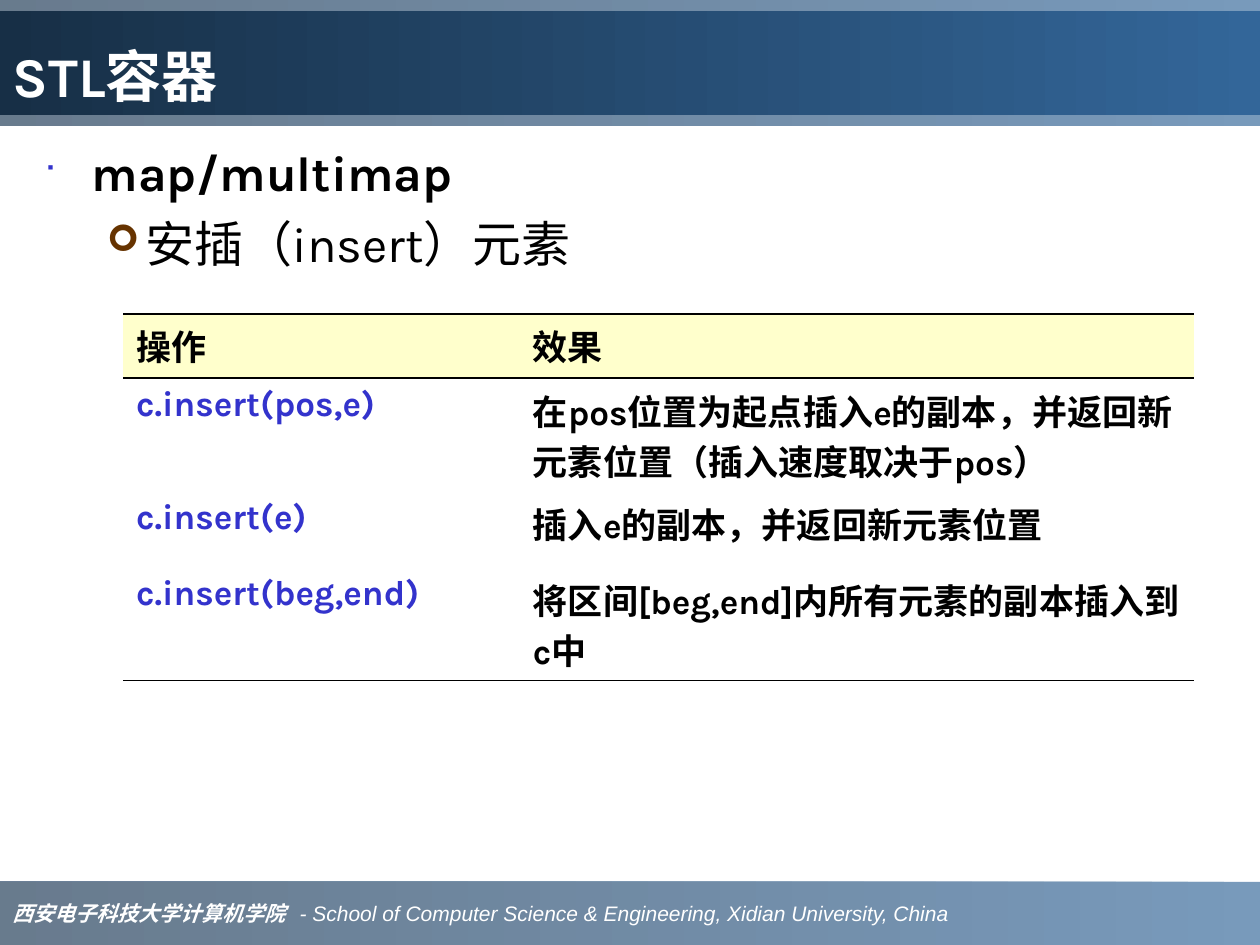
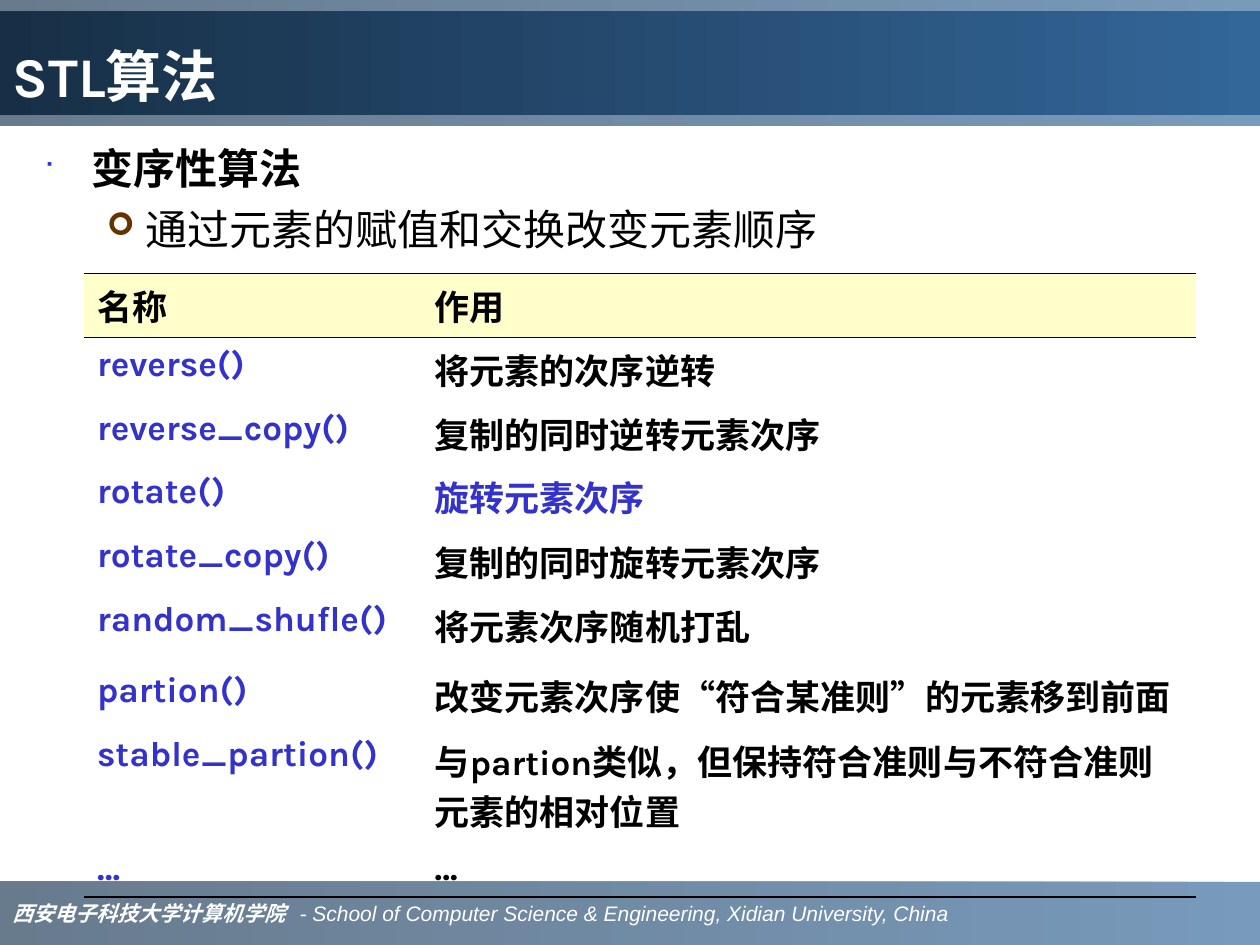
"""Build two slides on STL containers and algorithms."""
from dataclasses import dataclass
from typing import Any, NamedTuple

import lxml.etree
import pptx
import pptx.dml.color
import pptx.dml.fill
import pptx.enum.shapes
import pptx.enum.text
import pptx.oxml.ns
import pptx.presentation
import pptx.shapes.autoshape
import pptx.slide
import pptx.table
import pptx.text.text
from pptx.util import Inches


@dataclass(frozen=True)
class Theme:
    face: str = "Karla"
    signs: str = "Wingdings"
    white: str = "FFFFFF"
    black: str = "000000"
    blue: str = "3333CC"
    brown: str = "663300"
    cream: str = "FFFFCC"
    light: str = "336699"
    dark: str = "172F46"
    shade: str = "1B3753"
    title: int = 32
    cell: int = 20
    foot: int = 12
    thick: float = 1.08
    thin: float = 0.75
    plain: str = "{2D5ABB26-0587-4C30-8999-92F81FD0307C}"


class Band(NamedTuple):
    top: float
    high: float


class Mark(NamedTuple):
    sign: str
    color: str
    scale: int
    left: float
    hang: float
    bold: bool


class Grid(NamedTuple):
    left: float
    top: float
    cols: tuple[float, ...]
    highs: tuple[float, ...]
    rows: tuple[tuple[str, str], ...]
    blue: tuple[int, ...] = ()


class Page(NamedTuple):
    title: str
    points: tuple[str, str]
    size: int
    gap: int
    grid: Grid


LOOK = Theme()
WIDE = 10
HEAD = Band(0, 1)
FOOT = Band(7, 0.5)
NAME = Band(0.09, 0.82)
MARKS = (
    Mark("■", LOOK.blue, 60, 0.38, 0.38, True),
    Mark("➢", LOOK.brown, 75, 0.81, 0.31, False),
)
CREDIT = (
    ("西安电子科技大学计算机学院\t", "Times New Roman", True),
    ("- School of Computer Science & Engineering, Xidian University, China", "Arial", False),
)
PAGES = (
    Page("STL容器", ("map/multimap", "安插（insert）元素"), 28, 7, Grid(
        0.98, 2.49, (3.15, 5.35), (0.51, 0.9, 0.6, 0.9), (
            ("操作", "效果"),
            ("c.insert(pos,e)", "在pos位置为起点插入e的副本，并返回新元素位置（插入速度取决于pos）"),
            ("c.insert(e)", "插入e的副本，并返回新元素位置"),
            ("c.insert(beg,end)", "将区间[beg,end]内所有元素的副本插入到c中"),
        ))),
    Page("STL算法", ("变序性算法", "通过元素的赋值和交换改变元素顺序"), 24, 6, Grid(
        0.67, 2.17, (2.68, 6.14),
        (0.51, 0.51, 0.5, 0.51, 0.51, 0.56, 0.51, 0.9, 0.44), (
            ("名称", "作用"),
            ("reverse()", "将元素的次序逆转"),
            ("reverse_copy()", "复制的同时逆转元素次序"),
            ("rotate()", "旋转元素次序"),
            ("rotate_copy()", "复制的同时旋转元素次序"),
            ("random_shufle()", "将元素次序随机打乱"),
            ("partion()", "改变元素次序使“符合某准则”的元素移到前面"),
            ("stable_partion()", "与partion类似，但保持符合准则与不符合准则元素的相对位置"),
            ("…", "…"),
        ), blue=(3,))),
)


def put(item: Any, form: dict[str, Any]) -> None:
    for key, value in form.items():
        setattr(item, key, value)


def tint(code: str) -> pptx.dml.color.RGBColor:
    return pptx.dml.color.RGBColor.from_string(code)


def node(base: Any, tag: str, **vals: Any) -> Any:
    return lxml.etree.SubElement(
        base, pptx.oxml.ns.qn(tag), {key: str(val) for key, val in vals.items()})


def style(font: pptx.text.text.Font, size: int, color: str,
          bold: bool = True, name: str = LOOK.face, slant: bool = False) -> None:
    put(font, {"size": pptx.util.Pt(size), "bold": bold, "name": name, "italic": slant})
    font.color.rgb = tint(color)


def blend(fill: pptx.dml.fill.FillFormat, dark: str, alpha: int = 100) -> None:
    fill.gradient()
    fill.gradient_angle = 180
    for stop, code in zip(fill.gradient_stops, (LOOK.light, dark)):
        stop.color.rgb = tint(code)
    if alpha < 100:
        for color in fill._xPr.iter(pptx.oxml.ns.qn("a:srgbClr")):
            node(color, "a:alpha", val=alpha * 1000)


def add_band(slide: pptx.slide.Slide, band: Band) -> pptx.shapes.autoshape.Shape:
    shape = slide.shapes.add_shape(
        pptx.enum.shapes.MSO_SHAPE.RECTANGLE,
        Inches(0), Inches(band.top), Inches(WIDE), Inches(band.high))
    shape.shadow.inherit = False
    shape.line.fill.background()
    blend(shape.fill, LOOK.shade, 66)
    return shape


def add_foot(slide: pptx.slide.Slide) -> None:
    frame = add_band(slide, FOOT).text_frame
    frame.vertical_anchor = pptx.enum.text.MSO_ANCHOR.MIDDLE
    para = frame.paragraphs[0]
    para.alignment = pptx.enum.text.PP_ALIGN.LEFT
    tabs = node(para._p.get_or_add_pPr(), "a:tabLst")
    node(tabs, "a:tab", pos=Inches(2.28), algn="l")
    for text, face, bold in CREDIT:
        run = para.add_run()
        run.text = text
        style(run.font, LOOK.foot, LOOK.white, bold, face, True)


def set_title(slide: pptx.slide.Slide, text: str) -> None:
    title = slide.shapes.title
    put(title, {"left": Inches(0), "top": Inches(NAME.top),
                "width": Inches(WIDE), "height": Inches(NAME.high)})
    blend(title.fill, LOOK.dark)
    frame = title.text_frame
    frame.text = text
    put(frame, {"vertical_anchor": pptx.enum.text.MSO_ANCHOR.BOTTOM,
                "auto_size": pptx.enum.text.MSO_AUTO_SIZE.NONE, "word_wrap": True})
    para = frame.paragraphs[0]
    para.alignment = pptx.enum.text.PP_ALIGN.LEFT
    style(para.runs[0].font, LOOK.title, LOOK.white)
    title.element.getparent().append(title.element)


def add_points(slide: pptx.slide.Slide, page: Page) -> None:
    box = slide.shapes.add_textbox(Inches(0.25), Inches(1.08), Inches(9.42), Inches(5.83))
    frame = box.text_frame
    frame.word_wrap = True
    for level, (text, mark) in enumerate(zip(page.points, MARKS)):
        para = frame.add_paragraph() if level else frame.paragraphs[0]
        para.level = level
        if level:
            para.space_before = pptx.util.Pt(page.gap)
        props = para._p.get_or_add_pPr()
        props.set("marL", str(Inches(mark.left)))
        props.set("indent", str(-Inches(mark.hang)))
        node(node(props, "a:buClr"), "a:srgbClr", val=mark.color)
        node(props, "a:buSzPct", val=mark.scale * 1000)
        node(props, "a:buFont", typeface=LOOK.signs, charset=2)
        node(props, "a:buChar", char=mark.sign)
        run = para.add_run()
        run.text = text
        style(run.font, page.size, LOOK.black, mark.bold)


def edge(cell: pptx.table._Cell, side: str, width: float) -> None:
    line = node(cell._tc.get_or_add_tcPr(), f"a:ln{side}", w=pptx.util.Pt(width))
    node(node(line, "a:solidFill"), "a:srgbClr", val=LOOK.black)


def add_grid(slide: pptx.slide.Slide, grid: Grid) -> None:
    frame = slide.shapes.add_table(
        len(grid.rows), len(grid.cols), Inches(grid.left), Inches(grid.top),
        Inches(sum(grid.cols)), Inches(sum(grid.highs)))
    table = frame.table
    put(table, {"first_row": False, "horz_banding": False})
    table._tbl.tblPr.find(pptx.oxml.ns.qn("a:tableStyleId")).text = LOOK.plain
    for col, width in zip(table.columns, grid.cols):
        col.width = Inches(width)
    last = len(grid.rows) - 1
    for r, (row, high) in enumerate(zip(grid.rows, grid.highs)):
        table.rows[r].height = Inches(high)
        for c, text in enumerate(row):
            cell = table.cell(r, c)
            if r == 0:
                edge(cell, "T", LOOK.thick)
                edge(cell, "B", LOOK.thin)
                cell.fill.solid()
                cell.fill.fore_color.rgb = tint(LOOK.cream)
            else:
                if r == last:
                    edge(cell, "B", LOOK.thick)
                cell.fill.background()
            cell.text = text
            blue = r > 0 and (c == 0 or r in grid.blue)
            style(cell.text_frame.paragraphs[0].runs[0].font, LOOK.cell,
                  LOOK.blue if blue else LOOK.black)


def add_page(deck: pptx.presentation.Presentation, page: Page) -> None:
    slide = deck.slides.add_slide(deck.slide_layouts[5])
    add_foot(slide)
    add_band(slide, HEAD)
    set_title(slide, page.title)
    add_points(slide, page)
    add_grid(slide, page.grid)


def main() -> None:
    deck = pptx.Presentation()
    put(deck, {"slide_width": Inches(WIDE), "slide_height": Inches(7.5)})
    for page in PAGES:
        add_page(deck, page)
    deck.save("out.pptx")


if __name__ == "__main__":
    main()
